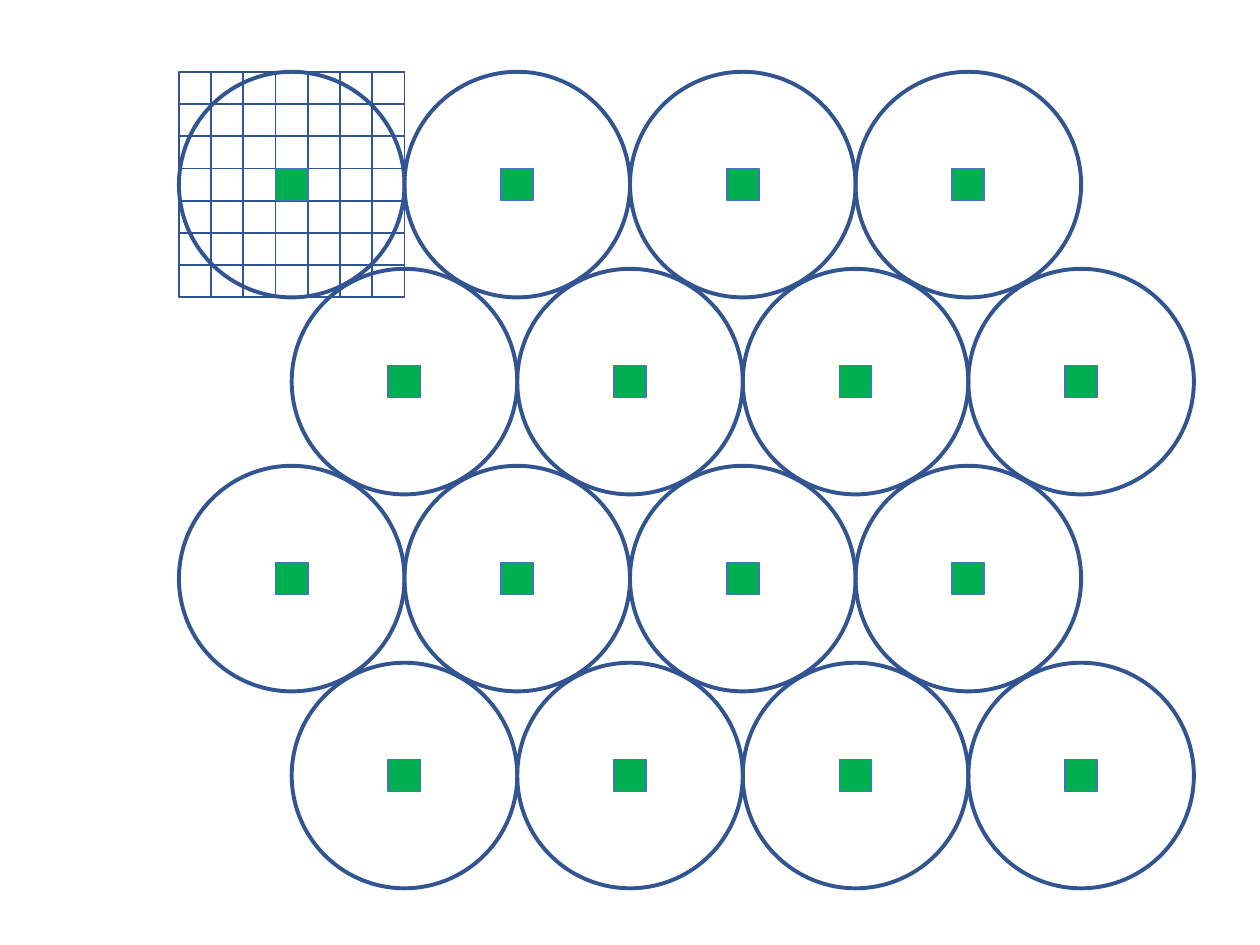
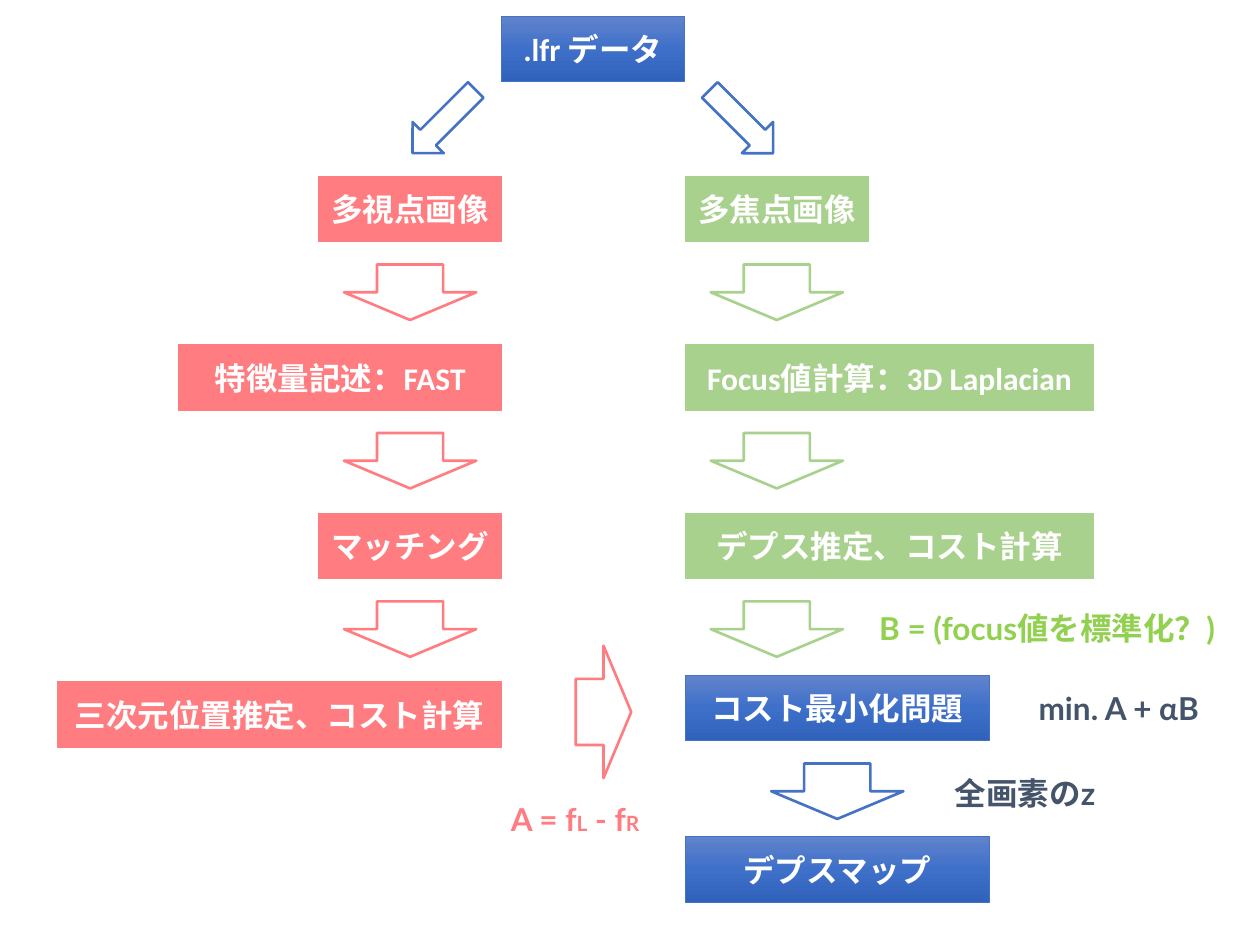
"""Build a circle-packing slide and a depth-estimation flow slide."""
import copy

import pptx
import pptx.dml.color
import pptx.enum.shapes
import pptx.enum.text
import pptx.oxml.ns
import pptx.util

Inches = pptx.util.Inches
Pt = pptx.util.Pt
RGBColor = pptx.dml.color.RGBColor
SHAPE = pptx.enum.shapes.MSO_SHAPE

NAVY = RGBColor(0x32, 0x54, 0x91)
BLUE = RGBColor(0x44, 0x72, 0xC4)
BLUE_STOPS = (
    (0, RGBColor(0x61, 0x83, 0xCB)),
    (0.5, RGBColor(0x3E, 0x70, 0xCA)),
    (1, RGBColor(0x30, 0x62, 0xBB)),
)
MARKER_GREEN = RGBColor(0x00, 0xB0, 0x50)
RED = RGBColor(0xFF, 0x7C, 0x80)
GREEN = RGBColor(0xA9, 0xD1, 0x8E)
LIME = RGBColor(0x92, 0xD0, 0x50)
SLATE = RGBColor(0x44, 0x54, 0x6A)
WHITE = RGBColor(0xFF, 0xFF, 0xFF)

DIAMETER = Inches(1.79)
CELLS = 7
CELL = DIAMETER / CELLS
ROWS, COLUMNS = 4, 4

STEP_HEIGHT = Inches(0.52)
STEP_WIDTH = Inches(1.45)
ARROW_WIDTH, ARROW_HEIGHT = Inches(1.05), Inches(0.44)
ARROW_DROP = Inches(0.7)


def add_figure(slide, kind, box, line, weight, fill=None):
    """Add an outlined preset shape in a (left, top, width, height) box."""
    figure = slide.shapes.add_shape(kind, *(int(length) for length in box))
    figure.shadow.inherit = False
    figure.line.color.rgb = line
    figure.line.width = Pt(weight)
    if fill is None:
        figure.fill.background()
    else:
        figure.fill.solid()
        figure.fill.fore_color.rgb = fill
    return figure


def write_text(holder, *runs, color=WHITE, font="Calibri", margin=0.1):
    """Write centred bold runs, each a string or a (string, size) pair."""
    frame = holder.text_frame
    frame.word_wrap = True
    frame.margin_left = frame.margin_right = Inches(margin)
    frame.vertical_anchor = pptx.enum.text.MSO_ANCHOR.MIDDLE
    paragraph = frame.paragraphs[0]
    paragraph.alignment = pptx.enum.text.PP_ALIGN.CENTER
    for item in runs:
        text, size = (item, 18) if isinstance(item, str) else item
        run = paragraph.add_run()
        run.text = text
        run.font.name = font
        run.font.size = Pt(size)
        run.font.bold = True
        run.font.color.rgb = color


def shade_blue(figure):
    """Fill a figure with the vertical three-stop blue gradient."""
    figure.fill.gradient()
    figure.fill.gradient_angle = 270
    stop_list = figure._element.spPr.find(".//" + pptx.oxml.ns.qn("a:gsLst"))
    stop_list.append(copy.deepcopy(stop_list[-1]))
    for stop, (position, color) in zip(figure.fill.gradient_stops, BLUE_STOPS):
        stop.position = position
        stop.color.rgb = color


def add_step(slide, text, box, color=BLUE):
    """Add a labelled process step, shaded when it is blue."""
    step = add_figure(slide, SHAPE.RECTANGLE, box, color, 0.5, color)
    if color == BLUE:
        shade_blue(step)
    write_text(step, text, margin=0)


def add_arrow(slide, center, top, color, rotation=0,
              width=ARROW_WIDTH, height=ARROW_HEIGHT):
    """Add an outlined down arrow centred on a vertical line."""
    box = (center - width / 2, top, width, height)
    add_figure(slide, SHAPE.DOWN_ARROW, box, color, 1.5).rotation = rotation


def add_formula(slide, box, *runs, color):
    """Add a coloured formula or remark beside the flow."""
    formula = slide.shapes.add_textbox(*(Inches(length) for length in box))
    write_text(formula, *runs, color=color, font="Lato")


def draw_pixel_grid(slide, left, top):
    """Draw the pixel cells around the marked centre cell."""
    middle = CELLS // 2
    for row in range(CELLS):
        for column in range(CELLS):
            if (row, column) != (middle, middle):
                box = (left + column * CELL, top + row * CELL, CELL, CELL)
                add_figure(slide, SHAPE.RECTANGLE, box, NAVY, 1)


def draw_lens(slide, left, top):
    """Draw one lens circle with its centre pixel."""
    add_figure(slide, SHAPE.OVAL, (left, top, DIAMETER, DIAMETER), NAVY, 2.25)
    inset = (DIAMETER - CELL) / 2
    pixel = (left + inset, top + inset, CELL, CELL)
    add_figure(slide, SHAPE.RECTANGLE, pixel, BLUE, 1, MARKER_GREEN)


def build_lens_array(slide, left, top, height):
    """Pack staggered lens rows into the given height."""
    draw_pixel_grid(slide, left, top)
    row_pitch = (height - DIAMETER) / (ROWS - 1)
    for row in range(ROWS):
        row_left = left + row % 2 * DIAMETER / 2
        for column in range(COLUMNS):
            draw_lens(slide, row_left + column * DIAMETER, top + row * row_pitch)


def build_branch(slide, edge, top, steps, color, grows_left):
    """Stack steps aligned on an inner edge with an arrow under each."""
    pitch = Inches(4.01) / 3
    center = edge + (-1 if grows_left else 1) * STEP_WIDTH / 2
    for index, (text, inches) in enumerate(steps):
        width = Inches(inches)
        step_top = top + index * pitch
        left = edge - width if grows_left else edge
        add_step(slide, text, (left, step_top, width, STEP_HEIGHT), color)
        if index < 3:
            add_arrow(slide, center, step_top + ARROW_DROP, color)


def build_source(slide, left, top):
    """Place the input data and the two arrows that split it."""
    add_step(slide, ".lfr データ", (left, top, STEP_WIDTH, STEP_HEIGHT))
    center = left + STEP_WIDTH / 2
    for side, rotation in ((-1, 45), (1, 315)):
        add_arrow(slide, center + side * Inches(1.18), top + Inches(0.48), BLUE,
                  rotation, Inches(0.35), Inches(0.71))


def build_result(slide, left, top, width):
    """Place the cost minimisation and the depth map it yields."""
    add_step(slide, "コスト最小化問題", (left, top, width, STEP_HEIGHT))
    add_arrow(slide, left + width / 2, top + ARROW_DROP, BLUE)
    add_step(slide, "デプスマップ",
             (left, top + Inches(1.28), width, STEP_HEIGHT))


def build_flow(slide):
    """Lay out the flow from input data to depth map."""
    build_source(slide, Inches(3.98), Inches(0.13))
    views = (("多視点画像", 1.45), ("特徴量記述：FAST", 2.56),
             ("マッチング", 1.45), ("三次元位置推定、コスト計算", 3.52))
    focuses = (("多焦点画像", 1.45), ("Focus値計算：3D Laplacian", 3.24),
               ("デプス推定、コスト計算", 3.24))
    build_branch(slide, Inches(3.98), Inches(1.4), views, RED, True)
    build_branch(slide, Inches(5.44), Inches(1.4), focuses, GREEN, False)
    add_arrow(slide, Inches(4.79), Inches(5.43), RED, 270)
    build_result(slide, Inches(5.44), Inches(5.36), Inches(2.41))
    add_formula(slide, (3.75, 6.3, 1.63, 0.4),
                "A = f", ("L", 12), " - f", ("R", 12), color=RED)
    add_formula(slide, (6.69, 4.78, 3.24, 0.4),
                "B = (focus値を標準化？)", color=LIME)
    add_formula(slide, (7.85, 5.42, 2.06, 0.4), "min. A + αB", color=SLATE)
    add_formula(slide, (7.39, 6.09, 1.49, 0.4), "全画素のz", color=SLATE)


def main():
    """Create both slides and save the deck."""
    deck = pptx.Presentation()
    deck.slide_width, deck.slide_height = Inches(10), Inches(7.5)
    blank = deck.slide_layouts[6]
    build_lens_array(deck.slides.add_slide(blank),
                     Inches(1.42), Inches(0.57), Inches(6.48))
    build_flow(deck.slides.add_slide(blank))
    deck.save("out.pptx")


if __name__ == "__main__":
    main()
